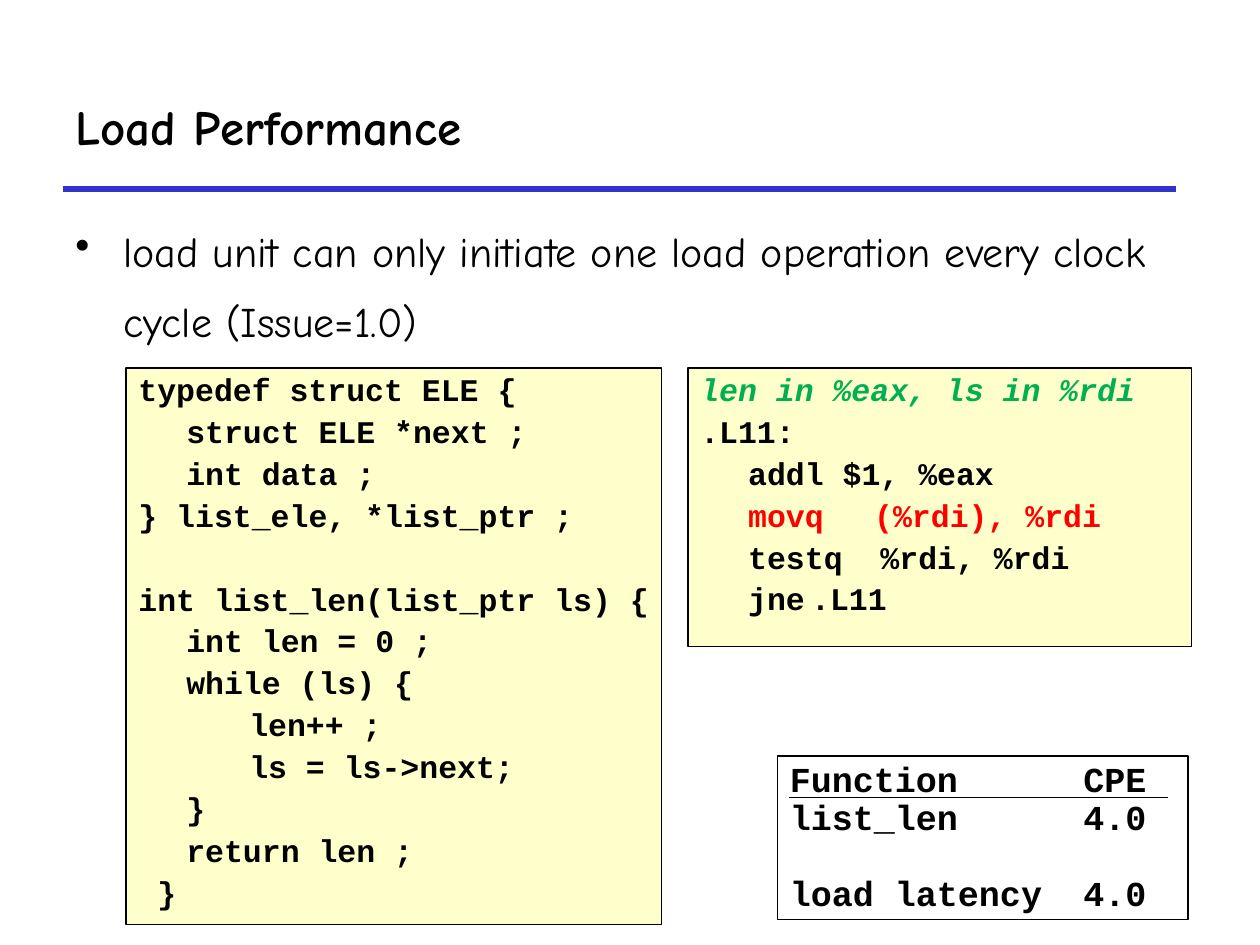
from pptx import Presentation
from pptx.dml.color import RGBColor as RGB
from pptx.enum.shapes import MSO_CONNECTOR as CONN, MSO_SHAPE as SHAPE
from pptx.enum.text import MSO_ANCHOR as ANCHOR, PP_ALIGN as ALIGN
from pptx.oxml.ns import qn
from pptx.util import Inches, Pt
from lxml.etree import SubElement

COLORS = {
    "black": "000000", "white": "FFFFFF", "rule": "3333CC",
    "code": "FFFFCC", "comment": "00B050", "hot": "FF0000",
}
SANS, MONO = "Comic Neue", "Courier New"
HANG = 0.38
CODE_GAP = 4.5
BLANK_CODE_LINE = 24
BLANK_TABLE_LINE = 21.7

LIST_CODE = [
    "typedef struct ELE {",
    "\tstruct ELE *next ;",
    "\tint data ;",
    "} list_ele, *list_ptr ;",
    "",
    "int list_len(list_ptr ls) {",
    "\tint len = 0 ;",
    "\twhile (ls) {",
    "\t\tlen++ ;",
    "\t\tls = ls->next;",
    "\t}",
    "\treturn len ;",
    " }",
]
ASSEMBLY = [
    ("len in %eax, ls in %rdi", "comment"),
    (".L11:", "black"),
    ("\taddl $1, %eax", "black"),
    ("\tmovq\t(%rdi), %rdi", "hot"),
    ("\ttestq  %rdi, %rdi", "black"),
    ("\tjne\t.L11", "black"),
]
CPE_ROWS = [("Function", "CPE"), ("list_len", "4.0"), None, ("load latency", "4.0")]


def color(name):
    return RGB.from_string(COLORS[name])


def set_indent(p, left):
    pPr = p._p.get_or_add_pPr()
    pPr.set("marL", str(Inches(left)))
    pPr.set("indent", str(-Inches(left)))


def add_bullet(p, char):
    SubElement(p._p.get_or_add_pPr(), qn("a:buChar"), char=char)


def add_tabs(p, stops):
    tabs = SubElement(p._p.get_or_add_pPr(), qn("a:tabLst"))
    for stop in stops:
        SubElement(tabs, qn("a:tab"), pos=str(Inches(stop)), algn="l")


def add_run(p, text, font, size, fill="black", bold=False, italic=False):
    r = p.add_run()
    r.text = text
    r.font.name, r.font.size = font, Pt(size)
    r.font.bold, r.font.italic = bold, italic
    r.font.color.rgb = color(fill)


def add_textbox(s, x, y, w, h, anchor=ANCHOR.TOP):
    tf = s.shapes.add_textbox(Inches(x), Inches(y), Inches(w), Inches(h)).text_frame
    tf.word_wrap = True
    tf.vertical_anchor = anchor
    return tf


def add_panel(s, x, y, w, h, fill):
    sp = s.shapes.add_shape(SHAPE.RECTANGLE, Inches(x), Inches(y), Inches(w), Inches(h))
    sp.shadow.inherit = False
    sp.fill.solid()
    sp.fill.fore_color.rgb = color(fill)
    sp.line.color.rgb = color("black")
    sp.line.width = Pt(0.75)
    tf = sp.text_frame
    tf.word_wrap = True
    tf.vertical_anchor = ANCHOR.TOP
    tf.margin_right = Inches(0.05)
    return tf


def add_rule(s, x1, x2, y, fill, width):
    line = s.shapes.add_connector(CONN.STRAIGHT, Inches(x1), Inches(y), Inches(x2), Inches(y))
    line.line.color.rgb = color(fill)
    line.line.width = Pt(width)
    SubElement(line._element.spPr, qn("a:effectLst"))


def next_paragraph(tf, before):
    first = not tf.paragraphs[0].runs
    p = tf.paragraphs[0] if first else tf.add_paragraph()
    p.alignment = ALIGN.LEFT
    p.line_spacing = 0.9
    if not first:
        p.space_before = Pt(before)
    return p


def add_code(s, x, y, w, h, lines):
    tf = add_panel(s, x, y, w, h, "code")
    gap = CODE_GAP
    for text, fill in lines:
        if not text:
            gap += BLANK_CODE_LINE
            continue
        p = next_paragraph(tf, gap)
        set_indent(p, HANG)
        add_tabs(p, range(8))
        add_run(p, text, MONO, 18, fill, bold=True, italic=fill == "comment")
        gap = CODE_GAP


def add_cpe_panel(s, x, y, w, h):
    tf = add_panel(s, x, y, w, h, "white")
    gap = 0
    for row in CPE_ROWS:
        if row is None:
            gap = BLANK_TABLE_LINE
            continue
        p = next_paragraph(tf, gap)
        add_tabs(p, [2.33])
        add_run(p, "\t".join(row), MONO, 20, bold=True)
        gap = 0
    add_rule(s, x + 0.09, x + 3.1, y + 0.33, "black", 0.25)


def add_heading(s, text):
    add_rule(s, 0.5, 9.33, 1.5, "rule", 3)
    tf = add_textbox(s, 0.5, 0.5, 8.83, 1, ANCHOR.MIDDLE)
    add_run(tf.paragraphs[0], text, SANS, 28, bold=True)


def add_point(s, text):
    p = add_textbox(s, 0.5, 1.58, 8.75, 1.25).paragraphs[0]
    p.line_spacing = 1.4
    set_indent(p, HANG)
    add_bullet(p, "•")
    add_run(p, text, SANS, 24)


def main():
    prs = Presentation()
    prs.slide_width, prs.slide_height = Inches(10), Inches(7.5)
    s = prs.slides.add_slide(prs.slide_layouts[6])
    add_heading(s, "Load Performance")
    add_point(s, "load unit can only initiate one load operation every clock cycle (Issue=1.0)")
    add_code(s, 1, 2.92, 4.25, 4.42, [(text, "black") for text in LIST_CODE])
    add_code(s, 5.46, 2.92, 4, 2.21, ASSEMBLY)
    add_cpe_panel(s, 6.17, 6, 3.26, 1.3)
    prs.save("out.pptx")


if __name__ == "__main__":
    main()
